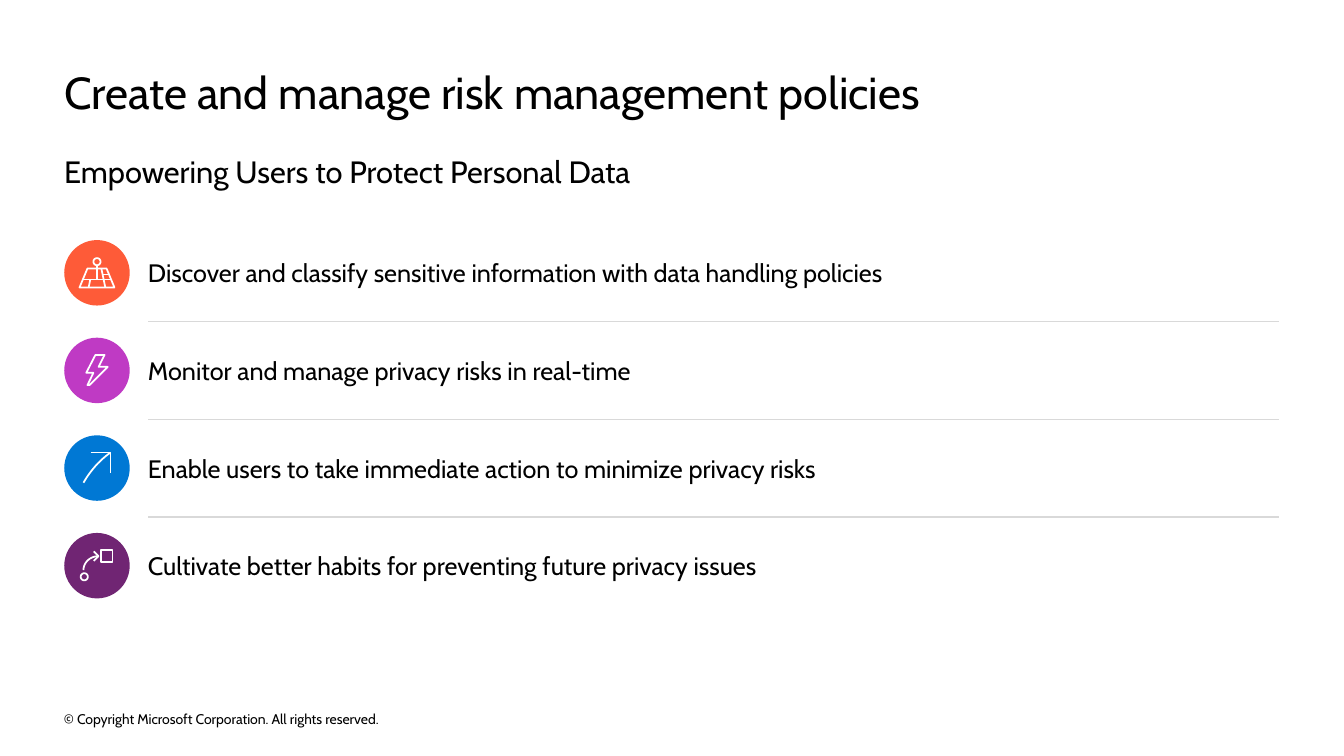
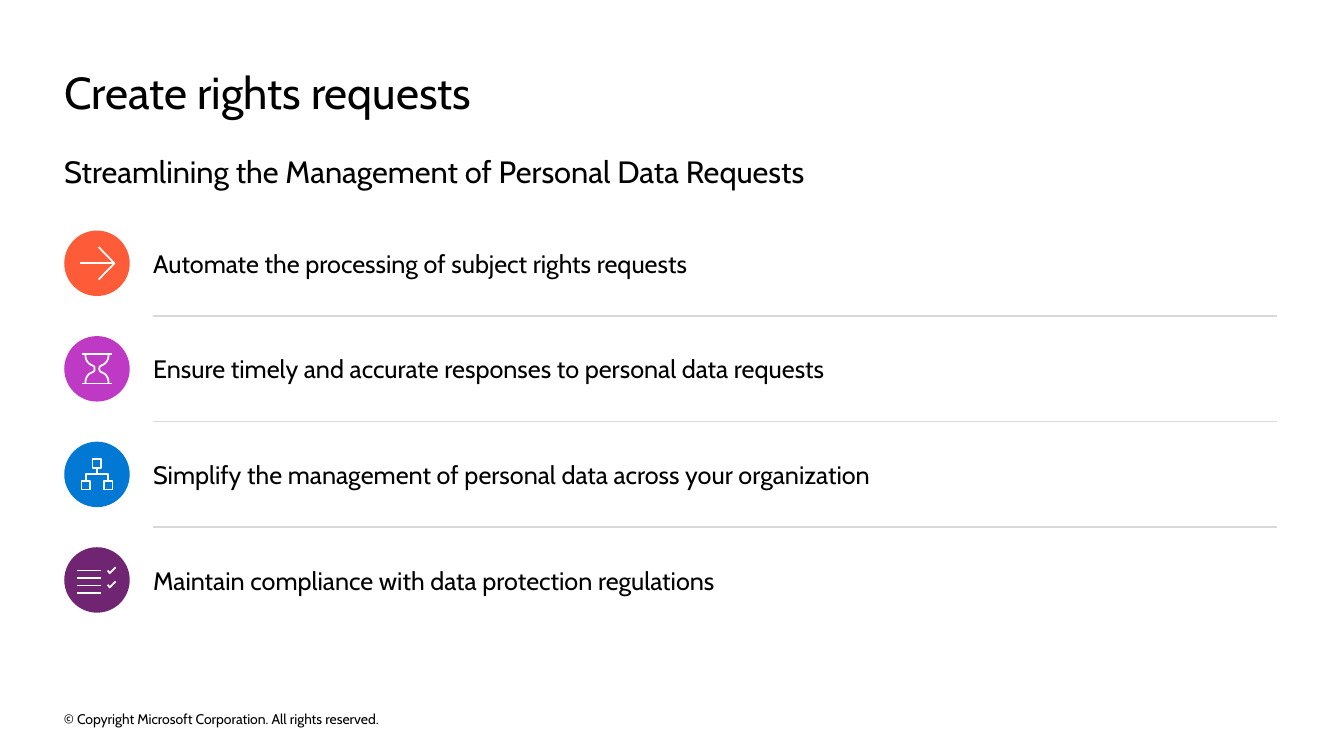
from dataclasses import dataclass
from math import cos, pi, sin

from lxml.etree import SubElement
from pptx import Presentation
from pptx.dml.color import RGBColor
from pptx.enum.shapes import MSO_CONNECTOR, MSO_SHAPE
from pptx.enum.text import MSO_ANCHOR, MSO_AUTO_SIZE, PP_ALIGN
from pptx.oxml.ns import qn
from pptx.presentation import Presentation as Deck
from pptx.slide import Slide
from pptx.text.text import TextFrame
from pptx.util import Cm, Pt

Point = tuple[float, float]
Stroke = list[Point]
Icon = list[Stroke]


@dataclass(frozen=True)
class Theme:
    font: str = "Cabin"
    text: str = "000000"
    icon: str = "FFFFFF"
    rule: str = "D9D9D9"
    badges: tuple[str, ...] = ("FE5B38", "BF3AC4", "0078D4", "702573")
    title_size: float = 32
    subtitle_size: float = 22
    item_size: float = 18
    footer_size: float = 10
    icon_line: float = 1.25
    rule_line: float = 1


@dataclass(frozen=True)
class Box:
    left: float
    top: float
    width: float
    height: float


@dataclass(frozen=True)
class Item:
    text: str
    icon: Icon


@dataclass(frozen=True)
class ListSlide:
    title: str
    subtitle: str
    top: float
    pitch: float
    text_left: float
    text_right: float
    items: list[Item]


THEME = Theme()
MARGIN = 1.62
BADGE = 1.65
ITEM_HEIGHT = 0.76
TITLE_BOX = Box(MARGIN, 1.62, 30.6, 1.37)
SUBTITLE_BOX = Box(MARGIN, 3.86, 30.6, 0.94)
FOOTER_BOX = Box(1.61, 17.83, 11.53, 0.56)
FOOTER = "© Copyright Microsoft Corporation. All rights reserved."


def curve(a: Point, b: Point, c: Point, d: Point, steps: int = 12) -> Stroke:
    def at(t: float, axis: int) -> float:
        u = 1 - t
        return (u**3 * a[axis] + 3 * u * u * t * b[axis]
                + 3 * u * t * t * c[axis] + t**3 * d[axis])

    return [(at(i / steps, 0), at(i / steps, 1)) for i in range(steps + 1)]


def ring(x: float, y: float, radius: float, steps: int = 24) -> Stroke:
    angles = [2 * pi * i / steps for i in range(steps)]
    points = [(x + radius * cos(a), y + radius * sin(a)) for a in angles]
    return points + points[:1]


def square(x1: float, y1: float, x2: float, y2: float) -> Stroke:
    return [(x1, y1), (x2, y1), (x2, y2), (x1, y2), (x1, y1)]


def map_pin() -> Icon:
    return [
        [(-24, -11), (24, -11), (44, 37), (-44, 37), (-24, -11)],
        ring(0, -28, 9),
        [(0, -19), (0, 17)],
        [(-36, 17), (36, 17)],
        [(-17, 17), (-21, 37)],
        [(21, 37), (11, -11)],
        [(14, 4), (30, 4)],
    ]


def bolt() -> Icon:
    return [[(-19, 37), (27, -9), (4, -9), (19, -39), (-4, -39),
             (-27, 6), (-9, 6), (-24, 37), (-19, 37)]]


def rising_arrow() -> Icon:
    return [
        [(-16, -39), (34, -39), (34, 12)],
        curve((34, -39), (6, -19), (-16, 6), (-34, 37)),
    ]


def process() -> Icon:
    return [
        curve((-34, 11), (-34, -9), (-16, -24), (4, -24)),
        [(-8, -12), (4, -24), (-8, -36)],
        ring(-32, 28, 9),
        square(11, -39, 39, -9),
    ]


def right_arrow() -> Icon:
    return [[(4, -41), (44, 0), (4, 41)], [(44, 0), (-44, 0)]]


def hourglass() -> Icon:
    quarter = ([(29, 37)] + curve((29, 34), (29, 22), (22, 12), (12, 9))
               + curve((9, 7), (6, 6), (6, 2), (6, 0)))
    sides = [[(x * h, y * v) for x, y in quarter]
             for h in (1, -1) for v in (1, -1)]
    return sides + [[(-37, y), (37, y)] for y in (-37, 37)]


def org_chart() -> Icon:
    return [
        square(-11, -39, 11, -17),
        square(-39, 17, -17, 38),
        square(17, 17, 39, 38),
        [(0, -17), (0, -1)],
        [(27, 17), (27, -1), (-27, -1), (-27, 17)],
    ]


def checklist() -> Icon:
    lines = [[(-50, y), (11, y)] for y in (-24, -5, 14, 32)]
    checks = [[(27, y), (32, y + 7), (47, y - 8)] for y in (-24, 12)]
    return lines + checks


SLIDES = [
    ListSlide(
        "Create and manage risk management policies",
        "Empowering Users to Protect Personal Data",
        6.05, 2.46, 3.73, 32.23,
        [
            Item("Discover and classify sensitive information with data handling policies", map_pin()),
            Item("Monitor and manage privacy risks in real-time", bolt()),
            Item("Enable users to take immediate action to minimize privacy risks", rising_arrow()),
            Item("Cultivate better habits for preventing future privacy issues", process()),
        ],
    ),
    ListSlide(
        "Create rights requests",
        "Streamlining the Management of Personal Data Requests",
        5.81, 2.66, 3.86, 32.18,
        [
            Item("Automate the processing of subject rights requests", right_arrow()),
            Item("Ensure timely and accurate responses to personal data requests", hourglass()),
            Item("Simplify the management of personal data across your organization", org_chart()),
            Item("Maintain compliance with data protection regulations", checklist()),
        ],
    ),
]


def rgb(value: str) -> RGBColor:
    return RGBColor.from_string(value)


def lengths(box: Box) -> tuple[Cm, Cm, Cm, Cm]:
    return Cm(box.left), Cm(box.top), Cm(box.width), Cm(box.height)


def set_text(tf: TextFrame, text: str, size: float, anchor: MSO_ANCHOR) -> None:
    tf.text = text
    tf.word_wrap = True
    tf.auto_size = MSO_AUTO_SIZE.NONE
    tf.vertical_anchor = anchor
    tf.margin_left = tf.margin_top = tf.margin_right = tf.margin_bottom = 0
    p = tf.paragraphs[0]
    p.alignment = PP_ALIGN.LEFT
    for r in p.runs:
        r.font.name = THEME.font
        r.font.size = Pt(size)
        r.font.color.rgb = rgb(THEME.text)


def add_text(s: Slide, box: Box, text: str, size: float,
             anchor: MSO_ANCHOR = MSO_ANCHOR.MIDDLE) -> None:
    sp = s.shapes.add_textbox(*lengths(box))
    set_text(sp.text_frame, text, size, anchor)


def add_title(s: Slide, text: str) -> None:
    sp = s.shapes.title
    sp.left, sp.top, sp.width, sp.height = lengths(TITLE_BOX)
    set_text(sp.text_frame, text, THEME.title_size, MSO_ANCHOR.TOP)


def add_badge(s: Slide, top: float, color: str) -> None:
    sp = s.shapes.add_shape(MSO_SHAPE.OVAL, *lengths(Box(MARGIN, top, BADGE, BADGE)))
    sp.shadow.inherit = False
    sp.fill.solid()
    sp.fill.fore_color.rgb = rgb(color)
    sp.line.fill.background()


def add_icon(s: Slide, x: float, y: float, icon: Icon) -> None:
    strokes = [[(Cm(px / 100), Cm(py / 100)) for px, py in stroke] for stroke in icon]
    builder = s.shapes.build_freeform(*strokes[0][0])
    for i, stroke in enumerate(strokes):
        if i:
            builder.move_to(*stroke[0])
        builder.add_line_segments(stroke[1:], close=stroke[0] == stroke[-1])
    sp = builder.convert_to_shape(Cm(x), Cm(y))
    sp.shadow.inherit = False
    sp.fill.background()
    sp.line.color.rgb = rgb(THEME.icon)
    sp.line.width = Pt(THEME.icon_line)


def add_rule(s: Slide, left: float, right: float, y: float) -> None:
    line = s.shapes.add_connector(MSO_CONNECTOR.STRAIGHT, Cm(left), Cm(y), Cm(right), Cm(y))
    line.line.color.rgb = rgb(THEME.rule)
    line.line.width = Pt(THEME.rule_line)
    SubElement(line._element.spPr, qn("a:effectLst"))


def add_items(s: Slide, content: ListSlide) -> None:
    width = content.text_right - content.text_left
    for i, (item, color) in enumerate(zip(content.items, THEME.badges)):
        top = content.top + i * content.pitch
        middle = top + BADGE / 2
        add_badge(s, top, color)
        add_icon(s, MARGIN + BADGE / 2, middle, item.icon)
        box = Box(content.text_left, middle - ITEM_HEIGHT / 2, width, ITEM_HEIGHT)
        add_text(s, box, item.text, THEME.item_size)
        if i < len(content.items) - 1:
            add_rule(s, content.text_left, content.text_right, middle + content.pitch / 2)


def add_list_slide(prs: Deck, content: ListSlide) -> None:
    s = prs.slides.add_slide(prs.slide_layouts.get_by_name("Title Only"))
    add_text(s, FOOTER_BOX, FOOTER, THEME.footer_size)
    add_title(s, content.title)
    add_text(s, SUBTITLE_BOX, content.subtitle, THEME.subtitle_size, MSO_ANCHOR.TOP)
    add_items(s, content)


def main() -> None:
    prs = Presentation()
    prs.slide_width, prs.slide_height = Cm(33.87), Cm(19.05)
    for content in SLIDES:
        add_list_slide(prs, content)
    prs.save("out.pptx")


if __name__ == "__main__":
    main()
